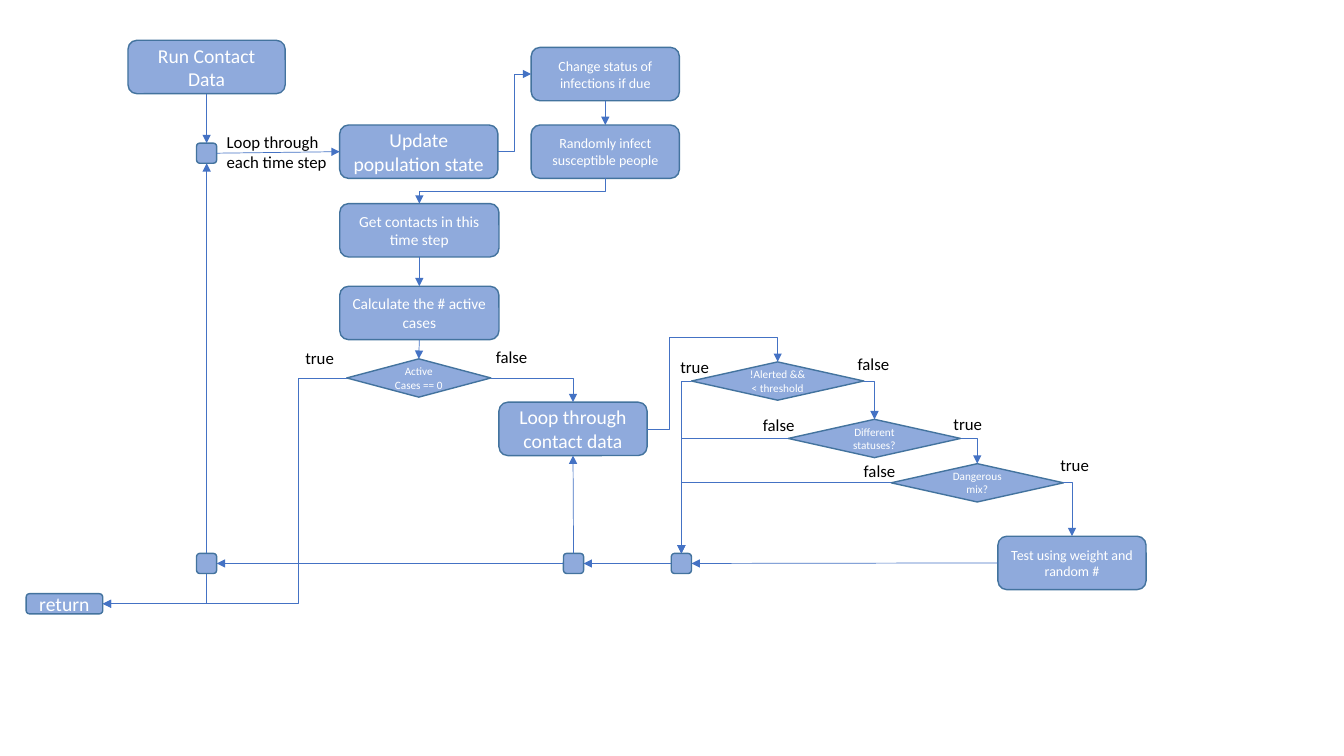
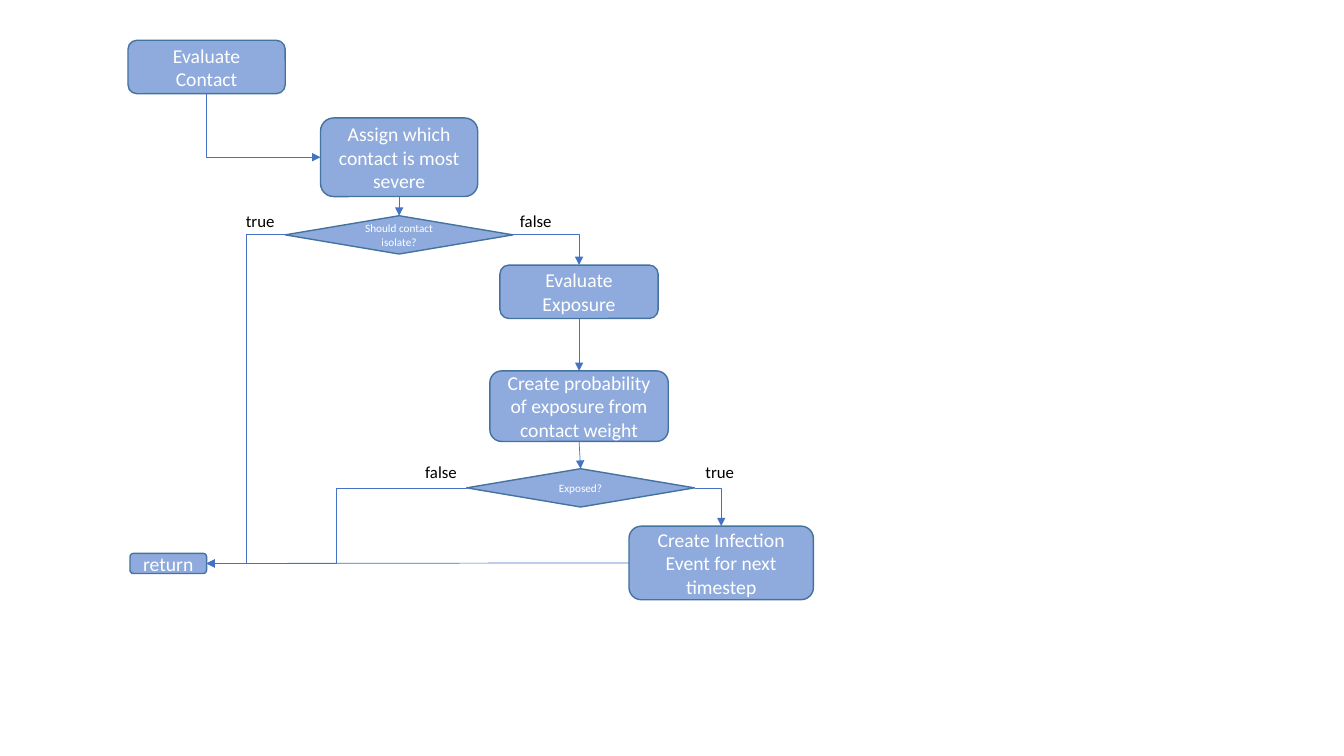
import dataclasses
import pptx
import pptx.dml.color
import pptx.enum.shapes
import pptx.enum.text
import pptx.oxml
import pptx.oxml.ns
import pptx.util

CELL = pptx.util.Inches(0.1)
COLUMNS, ROWS = 133.33, 75
TOP, LEFT, BOTTOM, RIGHT = range(4)
SHAPES = pptx.enum.shapes.MSO_SHAPE
CONNECTORS = pptx.enum.shapes.MSO_CONNECTOR


def rgb(value):
    return pptx.dml.color.RGBColor.from_string(value)


@dataclasses.dataclass(frozen=True)
class Theme:
    font: str = "Calibri"
    fill: str = "8FAADC"
    outline: str = "43739E"
    arrow: str = "4472C4"
    light: str = "FFFFFF"
    dark: str = "000000"
    heading: int = 14
    label: int = 12
    detail: int = 11
    small: int = 10
    decision: int = 8
    outline_width: float = 1
    arrow_width: float = 0.5


THEME = Theme()


def cells(*values):
    return [round(value * CELL) for value in values]


def write(frame, text, size, color, align):
    frame.text = text
    for paragraph in frame.paragraphs:
        paragraph.alignment = align
        for run in paragraph.runs:
            run.font.name = THEME.font
            run.font.size = pptx.util.Pt(size)
            run.font.color.rgb = rgb(color)


@dataclasses.dataclass
class Region:
    slide: object
    column: float
    row: float

    def node(self, kind, column, row, width, height, text, size):
        node = self.slide.shapes.add_shape(
            kind, *cells(self.column + column, self.row + row, width, height))
        node.shadow.inherit = False
        node.fill.solid()
        node.fill.fore_color.rgb = rgb(THEME.fill)
        node.line.color.rgb = rgb(THEME.outline)
        node.line.width = pptx.util.Pt(THEME.outline_width)
        if text:
            node.text_frame.word_wrap = True
            node.text_frame.vertical_anchor = pptx.enum.text.MSO_ANCHOR.MIDDLE
            write(node.text_frame, text, size, THEME.light,
                  pptx.enum.text.PP_ALIGN.CENTER)
        return node

    def step(self, column, row, text, size=THEME.heading, width=15.7, height=5.3):
        return self.node(SHAPES.ROUNDED_RECTANGLE, column, row, width, height, text, size)

    def junction(self, column, row):
        return self.step(column, row, "", width=2, height=2)

    def finish(self, column, row):
        return self.step(column, row, "return", width=7.6, height=2)

    def decision(self, column, row, text, width):
        return self.node(SHAPES.DIAMOND, column, row, width, 3.8, text, THEME.decision)

    def label(self, column, row, text, width, height=3):
        label = self.slide.shapes.add_textbox(
            *cells(self.column + column, self.row + row, width, height))
        label.text_frame.word_wrap = False
        write(label.text_frame, text, THEME.label, THEME.dark,
              pptx.enum.text.PP_ALIGN.LEFT)

    def answers(self, true_at, false_at):
        self.label(*true_at, "true", 4.9)
        self.label(*false_at, "false", 5.2)


def join(slide, source, source_side, target, target_side, kind=CONNECTORS.STRAIGHT):
    arrow = slide.shapes.add_connector(kind, 0, 0, 0, 0)
    arrow.begin_connect(source, source_side)
    arrow.end_connect(target, target_side)
    arrow.line.color.rgb = rgb(THEME.arrow)
    arrow.line.width = pptx.util.Pt(THEME.arrow_width)
    properties = arrow.element.spPr
    head = pptx.oxml.parse_xml(
        '<a:tailEnd %s type="triangle"/>' % pptx.oxml.ns.nsdecls("a"))
    properties.find(pptx.oxml.ns.qn("a:ln")).append(head)
    properties.append(pptx.oxml.parse_xml(
        "<a:effectLst %s/>" % pptx.oxml.ns.nsdecls("a")))
    return arrow


def bend(slide, source, source_side, target, target_side, corners=1, shifts=()):
    arrow = join(slide, source, source_side, target, target_side, CONNECTORS.ELBOW)
    properties = arrow.element.spPr
    outline = properties.find(pptx.oxml.ns.qn("a:prstGeom"))
    outline.set("prst", "bentConnector%d" % (corners + 1))
    guides = outline.find(pptx.oxml.ns.qn("a:avLst"))
    for number, shift in enumerate(shifts, 1):
        guides.append(pptx.oxml.parse_xml(
            '<a:gd %s name="adj%d" fmla="val %d"/>'
            % (pptx.oxml.ns.nsdecls("a"), number, round(shift * 100000))))
    if source_side in (TOP, BOTTOM):
        across, down = arrow.end_x - arrow.begin_x, arrow.end_y - arrow.begin_y
        middle_x = (arrow.begin_x + arrow.end_x) // 2
        middle_y = (arrow.begin_y + arrow.end_y) // 2
        arrow.begin_x, arrow.end_x = middle_x - down // 2, middle_x + down // 2
        arrow.begin_y, arrow.end_y = middle_y + across // 2, middle_y - across // 2
        properties.find(pptx.oxml.ns.qn("a:xfrm")).set("rot", str(90 * 60000))


def time_loop(region):
    start = region.step(0, 0, "Run Contact Data", width=15.6)
    gate = region.junction(6.8, 10.2)
    region.label(8.8, 8.6, "Loop through\neach time step", 12.1, 5)
    join(region.slide, start, BOTTOM, gate, TOP)
    return gate


def population_update(region):
    slide = region.slide
    update = region.step(0, 7.7, "Update population state")
    status, infect = [
        region.step(19, row, text, THEME.small, 14.7)
        for row, text in ((0, "Change status of infections if due"),
                          (7.7, "Randomly infect susceptible people"))]
    contacts, cases = [
        region.step(0, row, text, THEME.detail, 15.8)
        for row, text in ((15.5, "Get contacts in this time step"),
                          (23.7, "Calculate the # active cases"))]
    bend(slide, update, RIGHT, status, LEFT, 2)
    join(slide, status, BOTTOM, infect, TOP)
    bend(slide, infect, BOTTOM, contacts, TOP, 2)
    join(slide, contacts, BOTTOM, cases, TOP)
    return update, cases


def active_cases(region):
    active = region.decision(5.1, 1.7, "Active Cases == 0", 14.3)
    contact_loop = region.step(20.2, 6, "Loop through contact data", width=14.7)
    region.answers((0, 0.1), (18.9, 0))
    bend(region.slide, active, RIGHT, contact_loop, TOP)
    return active, contact_loop


def contact_checks(region):
    checks = []
    for column, row, text, true_at, false_at in (
            (2.1, 1.3, "!Alerted &&\n< threshold", (0, 0.3), (17.6, 0)),
            (11.7, 7, "Different statuses?", (27.1, 6), (8.2, 6.1)),
            (21.9, 11.4, "Dangerous mix?", (37.7, 10), (18.2, 10.6))):
        checks.append(region.decision(column, row, text, 17.1))
        region.answers(true_at, false_at)
    test = region.step(32.5, 18.6, "Test using weight and random #", THEME.small, 14.7)
    for check, following in zip(checks, checks[1:] + [test]):
        bend(region.slide, check, RIGHT, following, TOP)
    return checks, test


def return_lane(region):
    junctions = [region.junction(column, 0) for column in (16.9, 53.3, 64)]
    finish = region.finish(0, 4)
    bend(region.slide, junctions[0], BOTTOM, finish, RIGHT)
    return junctions, finish


def run_contact_data(slide):
    gate = time_loop(Region(slide, 12.7, 4))
    update, cases = population_update(Region(slide, 33.7, 4.7))
    active, contact_loop = active_cases(Region(slide, 29.3, 33.9))
    checks, test = contact_checks(Region(slide, 66.5, 34.6))
    (time_end, contact_end, check_end), finish = return_lane(Region(slide, 2.6, 54.9))
    join(slide, gate, RIGHT, update, LEFT)
    join(slide, cases, BOTTOM, active, TOP)
    join(slide, time_end, TOP, gate, BOTTOM)
    join(slide, contact_end, TOP, contact_loop, BOTTOM)
    for source, target in ((test, check_end), (check_end, contact_end),
                           (contact_end, time_end)):
        join(slide, source, LEFT, target, RIGHT)
    bend(slide, active, LEFT, finish, RIGHT, 2, (0.2,))
    bend(slide, contact_loop, RIGHT, checks[0], TOP, 3, (0.17, 1.37))
    for check in checks:
        bend(slide, check, LEFT, check_end, TOP)


def isolation(region):
    start = region.step(0, 0, "Evaluate Contact", width=15.6)
    severe = region.step(19.1, 7.7, "Assign which contact is most severe",
                         width=15.6, height=7.8)
    isolate = region.decision(15.6, 17.4, "Should contact isolate?", 22.6)
    region.answers((10.7, 16.4), (37.9, 16.4))
    bend(region.slide, start, BOTTOM, severe, LEFT)
    join(region.slide, severe, BOTTOM, isolate, TOP)
    return isolate


def exposure(region):
    slide = region.slide
    evaluate = region.step(8.4, 0, "Evaluate Exposure")
    probability = region.step(7.4, 10.5, "Create probability of exposure from contact weight",
                              width=17.7, height=7)
    exposed = region.decision(5.1, 20.2, "Exposed?", 22.6)
    infection = region.step(21.2, 25.9, "Create Infection Event for next timestep",
                            width=18.3, height=7.3)
    region.answers((27.8, 19), (0, 19))
    join(slide, evaluate, BOTTOM, probability, TOP)
    join(slide, probability, BOTTOM, exposed, TOP)
    bend(slide, exposed, RIGHT, infection, TOP)
    return evaluate, exposed, infection


def evaluate_contact(slide):
    isolate = isolation(Region(slide, 12.7, 4))
    evaluate, exposed, infection = exposure(Region(slide, 41.2, 26.3))
    finish = Region(slide, 12.9, 54.9).finish(0, 0)
    bend(slide, isolate, RIGHT, evaluate, TOP)
    for check in (isolate, exposed):
        bend(slide, check, LEFT, finish, RIGHT, 2)
    join(slide, infection, LEFT, finish, RIGHT)


def main():
    deck = pptx.Presentation()
    deck.slide_width, deck.slide_height = cells(COLUMNS, ROWS)
    for build in (run_contact_data, evaluate_contact):
        build(deck.slides.add_slide(deck.slide_layouts[6]))
    deck.save("out.pptx")


if __name__ == "__main__":
    main()
